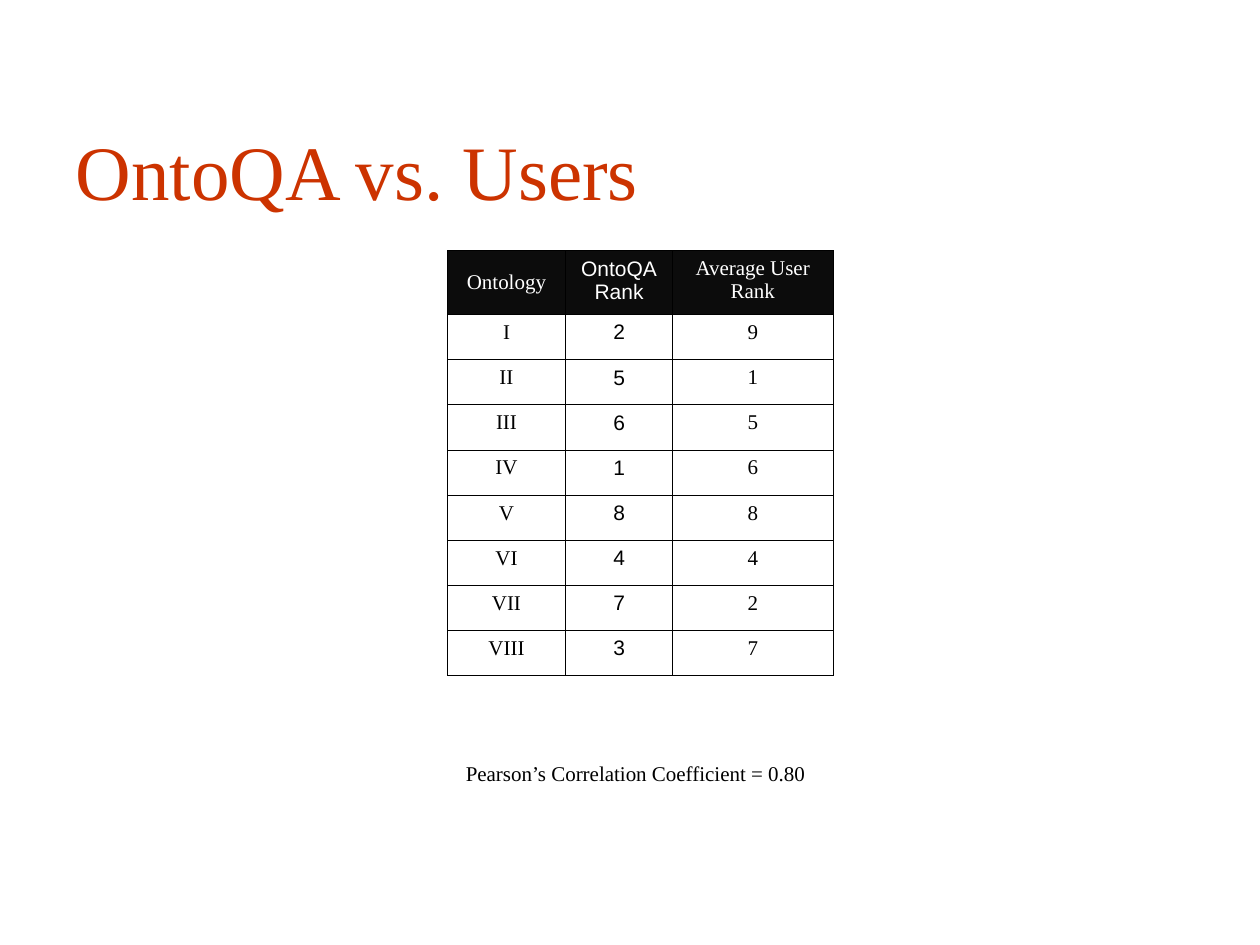
"""Build a slide with a table that compares OntoQA ranks with user ranks."""
from dataclasses import dataclass

from lxml.etree import SubElement as Sub
from pptx import Presentation
from pptx.dml.color import RGBColor as Rgb
from pptx.enum.text import MSO_ANCHOR as Anchor, MSO_AUTO_SIZE as Auto, PP_ALIGN as Align
from pptx.oxml.ns import qn
from pptx.util import Cm, Pt

INK = {"title": "CC3300", "head": "0C0C0C", "light": "FFFFFF", "text": "000000"}
SERIF, SANS = "Times New Roman", "Arial"
HEAD_TALL, ROW_TALL = 1.29, 0.91


@dataclass(frozen=True)
class Column:
    head: str
    wide: float
    font: str
    items: tuple
    top: float = 0.13


COLUMNS = (
    Column("Ontology", 2.38, SERIF,
           ("I", "II", "III", "IV", "V", "VI", "VII", "VIII"), 0.41),
    Column("OntoQA\nRank", 2.16, SANS, (2, 5, 6, 1, 8, 4, 7, 3)),
    Column("Average User\nRank", 3.23, SERIF, (9, 1, 5, 6, 8, 4, 2, 7)),
)


def write(frame, text: str, font: str, size: float, ink: str, align=Align.LEFT) -> None:
    frame.text = text
    for para in frame.paragraphs:
        para.alignment = align
        for run in para.runs:
            run.font.name = font
            run.font.size = Pt(size)
            run.font.color.rgb = Rgb.from_string(INK[ink])


def edge(cell) -> None:
    props = cell._tc.get_or_add_tcPr()
    for side in ("lnL", "lnR", "lnT", "lnB"):
        line = Sub(props, qn(f"a:{side}"), w=str(Pt(0.45)))
        fill = Sub(line, qn("a:solidFill"))
        Sub(fill, qn("a:srgbClr"), val=INK["text"])


def fill_cell(cell, text: str, font: str, ink: str, back: str = "") -> None:
    write(cell.text_frame, text, font, 12, ink, Align.CENTER)
    edge(cell)
    if back:
        cell.fill.solid()
        cell.fill.fore_color.rgb = Rgb.from_string(INK[back])
    else:
        cell.fill.background()


def draw_table(slide) -> None:
    count = len(COLUMNS[0].items)
    wide = sum(col.wide for col in COLUMNS)
    tall = HEAD_TALL + count * ROW_TALL
    table = slide.shapes.add_table(
        count + 1, len(COLUMNS), Cm(9.02), Cm(5.05), Cm(wide), Cm(tall)).table
    table.horz_banding = False
    for num, row in enumerate(table.rows):
        row.height = Cm(ROW_TALL if num else HEAD_TALL)
    for x, col in enumerate(COLUMNS):
        table.columns[x].width = Cm(col.wide)
        head = table.cell(0, x)
        fill_cell(head, col.head, col.font, "light", "head")
        head.margin_top = Cm(col.top)
        for y, item in enumerate(col.items, 1):
            fill_cell(table.cell(y, x), str(item), col.font, "text")


def draw_title(slide) -> None:
    title = slide.shapes.title
    title.left, title.top, title.width, title.height = Cm(1.27), Cm(1.83), Cm(22.86), Cm(3.18)
    frame = title.text_frame
    frame.auto_size = Auto.NONE
    frame.vertical_anchor = Anchor.MIDDLE
    write(frame, "OntoQA vs. Users", SERIF, 44, "title")


def draw_note(slide) -> None:
    frame = slide.shapes.add_textbox(Cm(9.14), Cm(15.21), Cm(7.39), Cm(0.76)).text_frame
    frame.word_wrap = False
    frame.auto_size = Auto.SHAPE_TO_FIT_TEXT
    frame.vertical_anchor = Anchor.MIDDLE
    write(frame, "Pearson’s Correlation Coefficient = 0.80", SERIF, 12, "text")


def main() -> None:
    deck = Presentation()
    deck.slide_width, deck.slide_height = Cm(25.4), Cm(19.05)
    slide = deck.slides.add_slide(deck.slide_layouts[5])
    draw_title(slide)
    draw_table(slide)
    draw_note(slide)
    deck.save("out.pptx")


if __name__ == "__main__":
    main()
